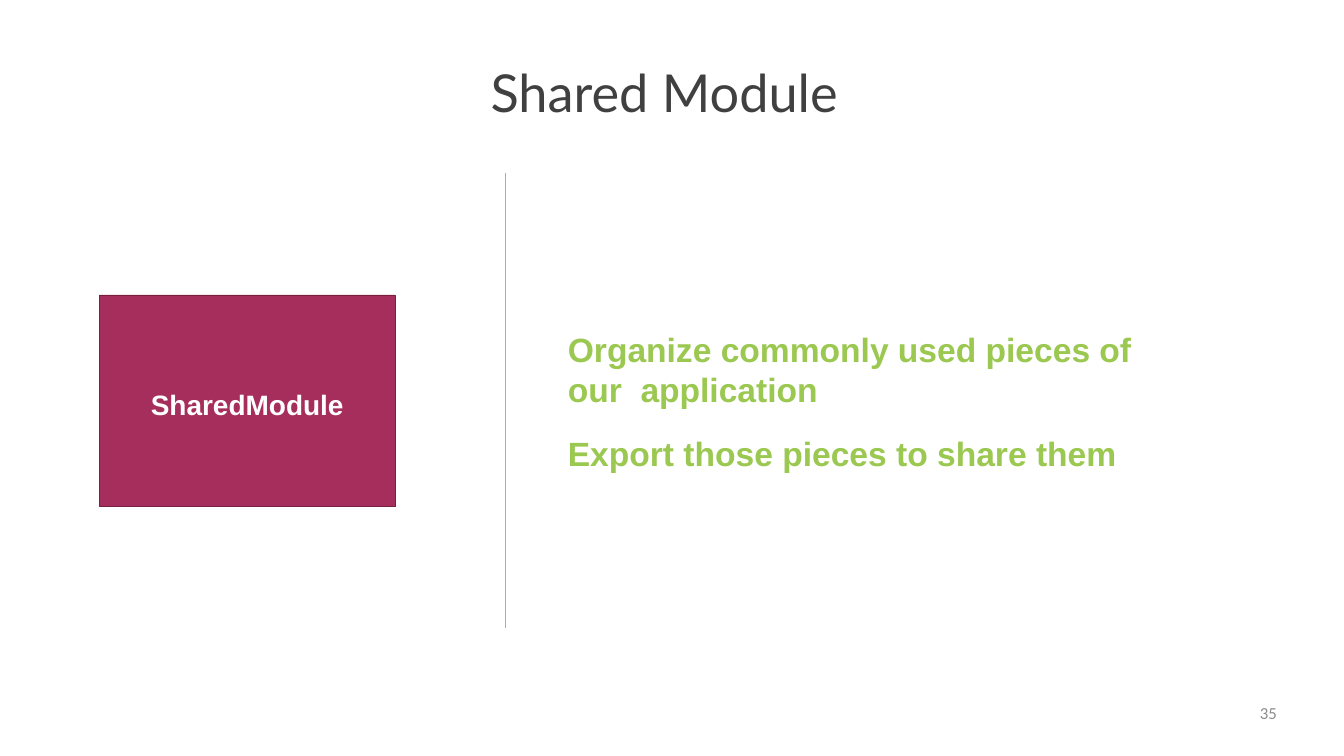
from pptx import Presentation
from pptx.dml.color import RGBColor
from pptx.enum.shapes import MSO_CONNECTOR, MSO_SHAPE
from pptx.enum.text import MSO_ANCHOR as ANCHOR, PP_ALIGN as ALIGN
from pptx.oxml.ns import qn
from pptx.util import Inches, Pt

COLORS = {
    "green": "9BC850",
    "berry": "A62E5C",
    "berry_dark": "791F41",
    "title": "404040",
    "number": "8C8C8C",
    "white": "FFFFFF",
}
TITLE = "Shared Module"
MODULE = "SharedModule"
POINTS = [
    {"text": "Organize commonly used pieces of our  application", "before": 2.6, "line": 43},
    {"text": "Export those pieces to share them", "before": 25.4, "line": None},
]
PAGE = "35"


def rgb(name):
    return RGBColor.from_string(COLORS[name])


def write(tf, text, size, font, color, bold=False, align=ALIGN.LEFT,
          before=0, line=None, first=True):
    p = tf.paragraphs[0] if first else tf.add_paragraph()
    p.alignment = align
    p.space_before = Pt(before)
    if line:
        p.line_spacing = Pt(line)
    r = p.add_run()
    r.text = text
    r.font.size, r.font.name, r.font.bold = Pt(size), font, bold
    r.font.color.rgb = rgb(color)


def set_frame(sp, top=0, anchor=ANCHOR.TOP):
    tf = sp.text_frame
    tf.word_wrap = True
    tf.margin_left = tf.margin_right = tf.margin_bottom = 0
    tf.margin_top = Inches(top)
    tf.vertical_anchor = anchor
    return tf


def add_box(s, x, y, w, h, top=0):
    return set_frame(s.shapes.add_textbox(*map(Inches, (x, y, w, h))), top)


def main():
    prs = Presentation()
    prs.slide_width, prs.slide_height = Inches(20), Inches(11.25)
    s = prs.slides.add_slide(prs.slide_layouts[6])

    divider = s.shapes.add_connector(
        MSO_CONNECTOR.STRAIGHT, *map(Inches, (7.52, 2.58, 7.52, 9.35)))
    divider.line.color.rgb = rgb("green")
    divider.line.width = Pt(1)
    sp_pr = divider._element.spPr
    sp_pr.append(sp_pr.makeelement(qn("a:effectLst"), {}))

    tf = add_box(s, 8.45, 4.85, 9.25, 2.2, top=0.04)
    for i, point in enumerate(POINTS):
        write(tf, size=36, font="Arial", color="green", bold=True, first=i == 0, **point)

    write(add_box(s, 7.3, 0.88, 5.32, 0.96, top=0.01), TITLE, 56, "Lato", "title", before=1)

    module = s.shapes.add_shape(MSO_SHAPE.RECTANGLE, *map(Inches, (1.48, 4.39, 4.4, 3.14)))
    module.shadow.inherit = False
    module.fill.solid()
    module.fill.fore_color.rgb = rgb("berry")
    module.line.color.rgb = rgb("berry_dark")
    module.line.width = Pt(1)
    write(set_frame(module, top=0.1, anchor=ANCHOR.MIDDLE), MODULE, 30, "Arial", "white",
          bold=True, align=ALIGN.CENTER)

    write(add_box(s, 14.4, 10.46, 4.6, 0.56), PAGE, 18, "Calibri", "number", align=ALIGN.RIGHT)

    prs.save("out.pptx")


if __name__ == "__main__":
    main()
